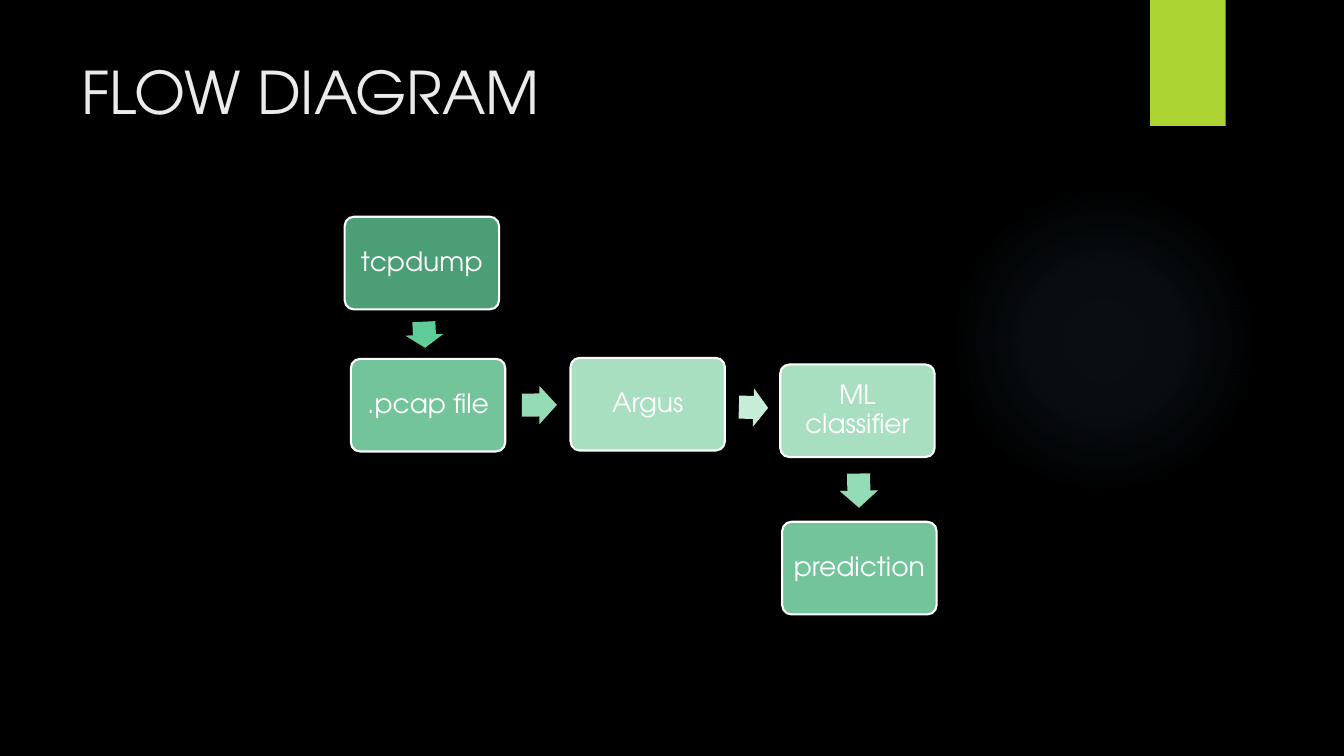
from pptx import Presentation
from pptx.dml.color import RGBColor
from pptx.enum.shapes import MSO_SHAPE
from pptx.enum.text import MSO_ANCHOR, PP_ALIGN
from pptx.oxml import parse_xml
from pptx.oxml.ns import nsdecls
from pptx.util import Pt


def color(code):
    return RGBColor.from_string(code)


class Deck:
    font = "TeX Gyre Adventor"
    size = 19
    white = "FFFFFF"
    box_w, box_h = 110.3, 66.2

    def __init__(self, show):
        self.slide = show.slides.add_slide(show.slide_layouts[6])

    def back(self, fill):
        paint = self.slide.background.fill
        paint.solid()
        paint.fore_color.rgb = color(fill)

    def label(self, frame, text, size, ink):
        frame.word_wrap = True
        par = frame.paragraphs[0]
        run = par.add_run()
        run.text = text
        run.font.name = self.font
        run.font.size = Pt(size)
        run.font.color.rgb = color(ink)
        return par

    def shape(self, kind, left, top, width, height, fill):
        item = self.slide.shapes.add_shape(
            kind, Pt(left), Pt(top), Pt(width), Pt(height))
        item.shadow.inherit = False
        item.fill.solid()
        item.fill.fore_color.rgb = color(fill)
        item.line.fill.background()
        return item

    def title(self, text, left, top, width, height):
        area = self.slide.shapes.add_textbox(
            Pt(left), Pt(top), Pt(width), Pt(height))
        self.label(area.text_frame, text, 42, "EBEBEB")

    def glow(self, left, top, size, tint):
        item = self.shape(MSO_SHAPE.OVAL, left, top, size, size, tint)
        stops = "".join(
            f'<a:gs pos="{pos * 1000}"><a:srgbClr val="{tint}">'
            f'<a:alpha val="{alpha * 1000}"/></a:srgbClr></a:gs>'
            for pos, alpha in ((0, 7), (36, 6), (69, 0)))
        blend = parse_xml(
            f'<a:gradFill {nsdecls("a")} rotWithShape="1">'
            f'<a:gsLst>{stops}</a:gsLst><a:path path="circle">'
            '<a:fillToRect l="50000" t="50000" r="50000" b="50000"/>'
            '</a:path></a:gradFill>')
        props = item.element.spPr
        props.replace(props.find("{*}solidFill"), blend)

    def tab(self, left, top, width, height, fill):
        item = self.shape(MSO_SHAPE.RECTANGLE, left, top, width, height, fill)
        item.element.spPr.find("{*}effectLst").append(parse_xml(
            f'<a:outerShdw {nsdecls("a")} blurRad="{Pt(3)}" dist="{Pt(2)}" '
            'dir="5400000" rotWithShape="0"><a:srgbClr val="000000">'
            '<a:alpha val="45000"/></a:srgbClr></a:outerShdw>'))

    def box(self, text, left, top, fill):
        item = self.shape(MSO_SHAPE.ROUNDED_RECTANGLE, left, top,
                          self.box_w, self.box_h, fill)
        item.adjustments[0] = 0.1
        item.line.color.rgb = color(self.white)
        item.line.width = Pt(1.5)
        frame = item.text_frame
        frame.margin_left = frame.margin_right = Pt(5.5)
        frame.margin_top = frame.margin_bottom = Pt(5.5)
        frame.vertical_anchor = MSO_ANCHOR.MIDDLE
        par = self.label(frame, text, self.size, self.white)
        par.alignment = PP_ALIGN.CENTER
        par.line_spacing = 0.9
        par.space_after = Pt(self.size * 0.35)

    def arrow(self, left, top, width, turn, fill):
        item = self.shape(MSO_SHAPE.RIGHT_ARROW, left, top, width, 27.4, fill)
        item.adjustments[0] = 0.6
        item.adjustments[1] = 0.5
        item.rotation = turn


def main():
    show = Presentation()
    show.slide_width, show.slide_height = Pt(960), Pt(540)
    deck = Deck(show)
    deck.back("000000")
    deck.glow(677.5, 131.8, 221.8, "7AC4F0")
    deck.tab(821.5, 0, 54, 90, "ACD433")
    deck.title("FLOW DIAGRAM", 51.1, 36, 741, 110)

    for step in (
        ("tcpdump", 246.2, 154.8, "4B9E76"),
        (".pcap file", 250.6, 256.3, "73C49B"),
        ("Argus", 407.5, 255.6, "A7DFC0"),
        ("ML classifier", 557.3, 260.3, "A7DFC0"),
        ("prediction", 558.7, 372.7, "73C49B"),
    ):
        deck.box(*step)

    for link in (
        (293.8, 225.4, 18.7, 87.3, "60CC99"),
        (372.8, 275.6, 25, 359.8, "94DCB6"),
        (527.8, 277.4, 20.9, 1.7, "C7ECD7"),
        (601.2, 336.8, 24.5, 89.3, "94DCB6"),
    ):
        deck.arrow(*link)

    show.save("out.pptx")


if __name__ == "__main__":
    main()
